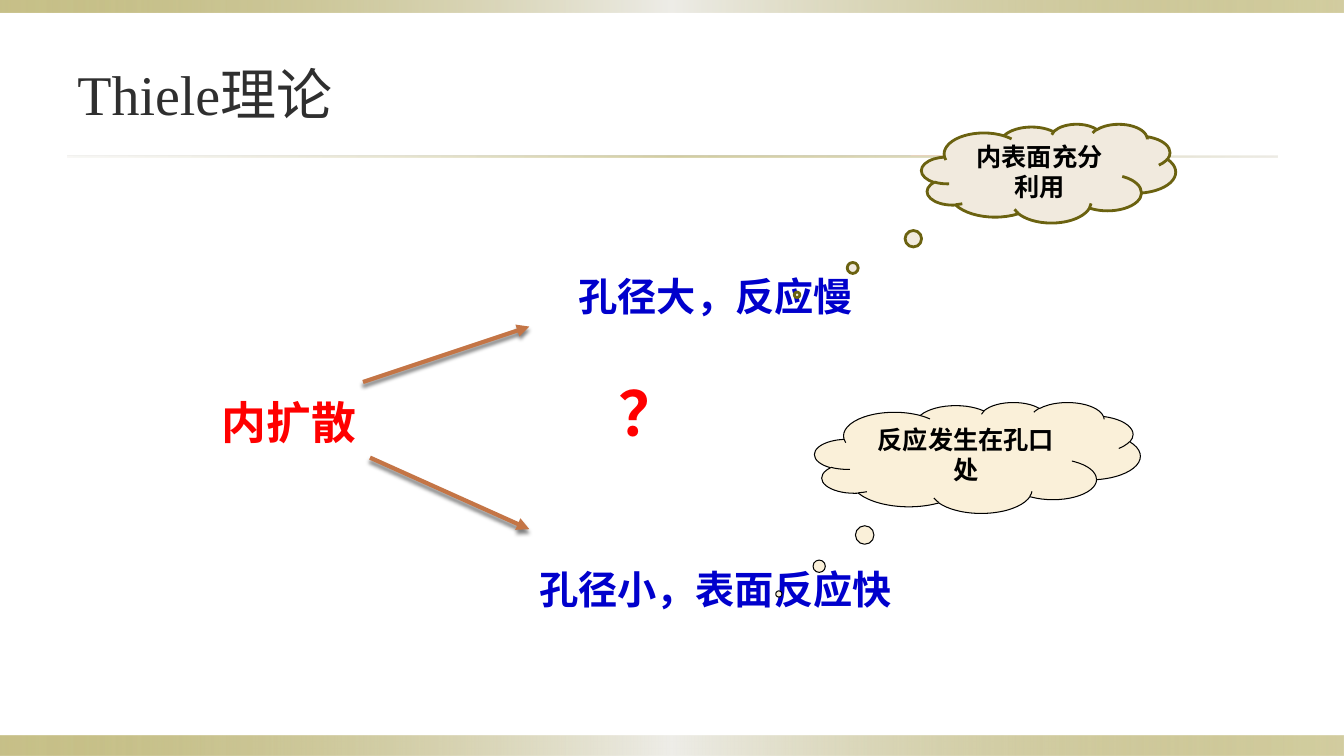
import pptx
import pptx.util
import pptx.dml.color
import pptx.enum.shapes
import pptx.enum.text
import pptx.oxml.ns
import lxml.etree

Inches, Pt = pptx.util.Inches, pptx.util.Pt
ANCHOR = pptx.enum.text.MSO_ANCHOR
SHAPE = pptx.enum.shapes.MSO_SHAPE
qn = pptx.oxml.ns.qn

COLORS = {
    "title": "2F2F2F", "cause": "FF0000", "case": "0000CC", "ink": "000000",
    "arrow": "C47546", "olive": "918415", "pale": "EEEDE8", "mist": "DCD9CC",
    "slow_cloud": "F1EADE", "slow_edge": "6B6210", "fast_cloud": "FAF0D9",
}
BAND_STOPS = [(0, "olive", 50), (50, "pale", 100), (100, "olive", 40)]
RULE_STOPS = [(0, "mist", 20), (50, "olive", 40), (100, "mist", 50)]


def rgb(name):
    return pptx.dml.color.RGBColor.from_string(COLORS[name])


def add_xml(parent, tag, **attributes):
    return lxml.etree.SubElement(parent, qn(tag), attributes)


def add_color(parent, name, opacity):
    color = add_xml(parent, "a:srgbClr", val=COLORS[name])
    add_xml(color, "a:alpha", val=str(opacity * 1000))


def add_run(paragraph, text, size, color, font="Karla", bold=False):
    run = paragraph.add_run()
    run.text = text
    run.font.size, run.font.bold, run.font.name = Pt(size), bold, font
    run.font.color.rgb = rgb(color)
    add_xml(run.font._element, "a:ea", typeface=font)


def add_gradient_bar(slide, box, stops):
    bar = slide.shapes.add_shape(SHAPE.RECTANGLE, *map(Inches, box))
    bar.shadow.inherit = False
    bar.line.fill.background()
    bar.fill.gradient()
    bar.fill.gradient_angle = 0
    stop_list = next(bar._element.iter(qn("a:gsLst")))
    for stop in list(stop_list):
        stop_list.remove(stop)
    for position, color, opacity in stops:
        stop = add_xml(stop_list, "a:gs", pos=str(position * 1000))
        add_color(stop, color, opacity)


def add_frame(slide, width, height):
    """Bands along the top and bottom edges and the rule under the title."""
    add_gradient_bar(slide, (0, height - 0.2, width, 0.2), BAND_STOPS)
    add_gradient_bar(slide, (0, 0, width, 0.12), BAND_STOPS)
    add_gradient_bar(slide, (0.67, 1.54, 12, 0.02), RULE_STOPS)


def add_title(slide, box):
    title = slide.shapes.add_textbox(*map(Inches, box)).text_frame
    title.word_wrap = True
    title.vertical_anchor = ANCHOR.MIDDLE
    add_run(title.paragraphs[0], "Thiele", 40, "title", "Times New Roman")
    add_run(title.paragraphs[0], "理论", 40, "title")


def add_label(slide, box, text, size, color):
    label = slide.shapes.add_textbox(*map(Inches, box)).text_frame
    label.word_wrap = False
    label.auto_size = pptx.enum.text.MSO_AUTO_SIZE.SHAPE_TO_FIT_TEXT
    add_run(label.paragraphs[0], text, size, color, bold=True)


def add_arrow(slide, start, end):
    arrow = slide.shapes.add_connector(
        pptx.enum.shapes.MSO_CONNECTOR.STRAIGHT, *map(Inches, start + end))
    arrow.line.color.rgb = rgb("arrow")
    arrow.line.width = Pt(3)
    add_xml(arrow.line._get_or_add_ln(), "a:tailEnd", type="triangle")
    effects = add_xml(arrow._element.spPr, "a:effectLst")
    shadow = add_xml(effects, "a:outerShdw", blurRad=str(Pt(2.8)),
                     dist=str(Pt(2.5)), dir=str(90 * 60000), rotWithShape="0")
    add_color(shadow, "ink", 50)


def add_thought(slide, box, pointer, text, fill, edge, edge_width, anchor):
    cloud = slide.shapes.add_shape(SHAPE.CLOUD_CALLOUT, *map(Inches, box))
    cloud.adjustments[0], cloud.adjustments[1] = pointer
    cloud.shadow.inherit = False
    cloud.fill.solid()
    cloud.fill.fore_color.rgb = rgb(fill)
    cloud.line.color.rgb = rgb(edge)
    cloud.line.width = Pt(edge_width)
    cloud.text_frame.word_wrap = True
    cloud.text_frame.vertical_anchor = anchor
    paragraph = cloud.text_frame.paragraphs[0]
    paragraph.alignment = pptx.enum.text.PP_ALIGN.CENTER
    add_run(paragraph, text, 18, "ink", bold=True)


def add_diffusion_diagram(slide, left, top):
    """Inner diffusion branching into two cases, each with a thought cloud."""
    def box(x, y, width, height):
        return left + x, top + y, width, height

    add_label(slide, box(0, 2.64, 1.55, 0.64), "内扩散", 32, "cause")
    add_arrow(slide, (left + 1.5, top + 2.56), (left + 3.15, top + 2.01))
    add_arrow(slide, (left + 1.57, top + 3.31), (left + 3.15, top + 4.02))
    add_label(slide, box(3.54, 1.42, 2.96, 0.57), "孔径大，反应慢", 28, "case")
    add_label(slide, box(3.15, 4.33, 3.75, 0.57), "孔径小，表面反应快", 28, "case")
    add_thought(slide, box(5.98, 2.76, 3.23, 1.1), (-0.61, 1.23),
                "反应发生在孔口处", "fast_cloud", "ink", 0.75, ANCHOR.TOP)
    add_label(slide, box(3.94, 2.44, 0.82, 0.84), "？", 44, "cause")
    add_thought(slide, box(7.04, 0, 2.52, 0.98), (-0.99, 1.23),
                "内表面充分利用", "slow_cloud", "slow_edge", 2, ANCHOR.MIDDLE)


def main():
    deck = pptx.Presentation()
    deck.slide_width, deck.slide_height = Inches(13.33), Inches(7.5)
    slide = deck.slides.add_slide(deck.slide_layouts[6])
    add_frame(slide, 13.33, 7.5)
    add_title(slide, (0.67, 0.3, 12, 1.25))
    add_diffusion_diagram(slide, 2.1, 1.23)
    deck.save("out.pptx")


if __name__ == "__main__":
    main()
